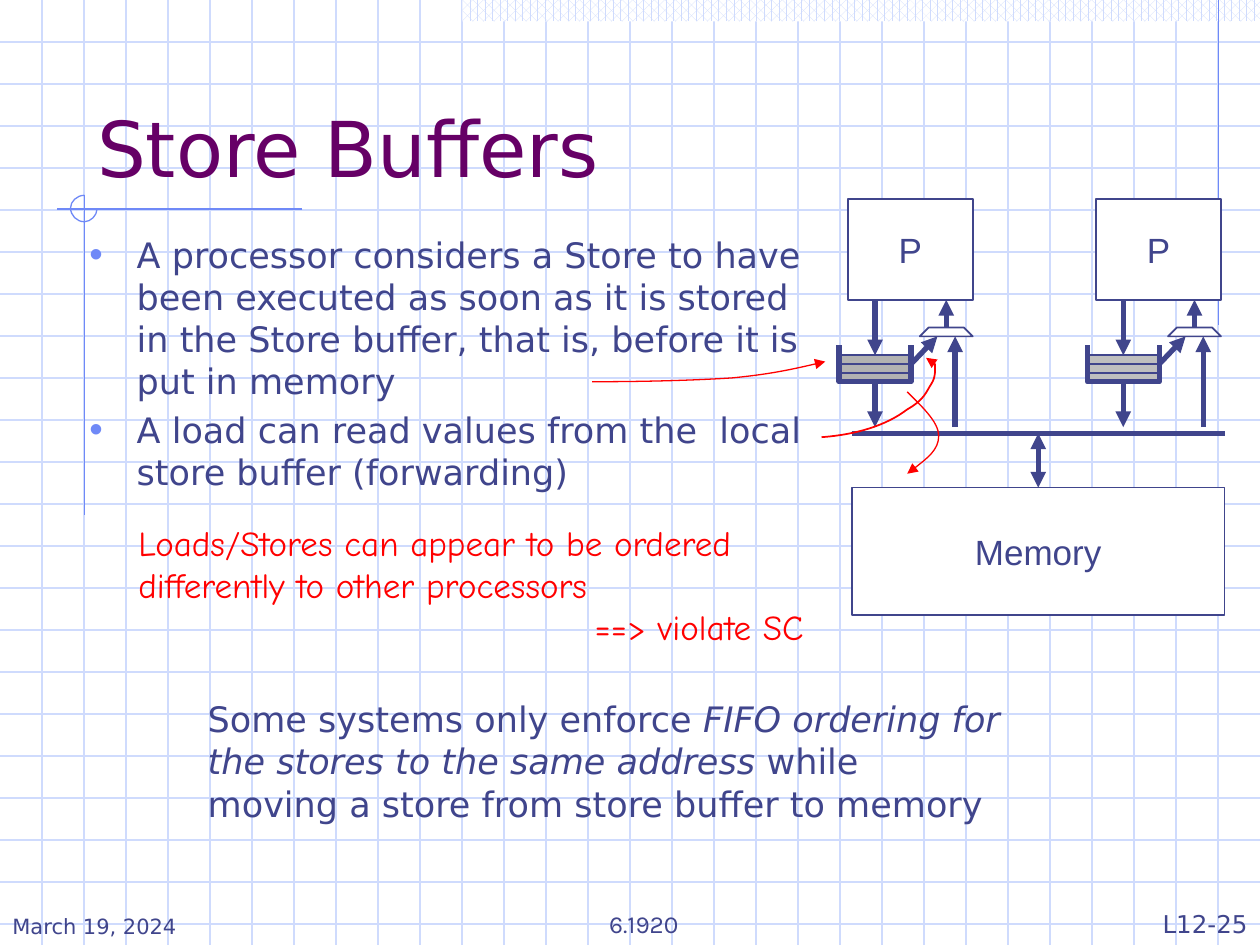
from lxml.etree import SubElement
from pptx import Presentation
from pptx.dml.color import RGBColor
from pptx.enum.dml import MSO_PATTERN
from pptx.enum.shapes import MSO_CONNECTOR, MSO_SHAPE
from pptx.enum.text import MSO_ANCHOR, MSO_AUTO_SIZE, PP_ALIGN
from pptx.oxml.ns import qn
from pptx.util import Inches, Pt

WHITE = RGBColor(0xFF, 0xFF, 0xFF)
PURPLE = RGBColor(0x66, 0x00, 0x66)
NAVY = RGBColor(0x40, 0x45, 0x8C)
RED = RGBColor(0xFF, 0x00, 0x00)
BLUE = RGBColor(0x6F, 0x89, 0xF7)
PALE = RGBColor(0xCF, 0xDB, 0xFD)
GRAYS = [RGBColor(0xB2, 0xB2, 0xB2), RGBColor(0xBF, 0xBF, 0xBF)]

TITLE = "Store Buffers"
BULLETS = [
    "A processor considers a Store to have been executed as soon as it is stored "
    "in the Store buffer, that is, before it is put in memory",
    "A load can read values from the  local store buffer (forwarding)",
]
WARNING = ["Loads/Stores can appear to be ordered differently to other processors", "==> violate SC"]
REMARK = [
    [("Some systems only enforce ", False),
     ("FIFO ordering for the stores to the same address", True), (" while", False)],
    [("moving a store from store buffer to memory", False)],
]
FOOTERS = [
    ("March 19, 2024", (0, 7, 2.08, 0.5), PP_ALIGN.LEFT, "DejaVu Sans", 12),
    ("6.1920", (3.39, 7, 3.44, 0.5), PP_ALIGN.CENTER, "Karla", 14),
    ("L12-25", (7.92, 7, 2.08, 0.5), PP_ALIGN.RIGHT, "DejaVu Sans", 14),
]
WIDTH, HEIGHT, CELLS_PER_INCH = 10, 7.5, 3
RULES = [((9.67, 0), (9.67, 2.58)), ((2.4, 1.66), (0.45, 1.66)), ((0.67, 1.55), (0.67, 4.09))]
CROSS_ARC = [(0.67, 1.55), (0.61, 1.55), (0.56, 1.6), (0.56, 1.65), (0.56, 1.71), (0.61, 1.76),
             (0.67, 1.76), (0.72, 1.76), (0.77, 1.71), (0.77, 1.66)]
POINTERS = [
    ([(6.52, 3.47), (6.79, 3.45), (7.03, 3.38), (7.2, 3.25), (7.34, 3.17), (7.35, 3.11),
      (7.39, 3.05), (7.43, 2.99), (7.42, 2.93), (7.42, 2.89), (7.4, 2.87), (7.37, 2.85),
      (7.35, 2.84)], 1, "tailEnd"),
    ([(6.55, 2.87), (6.34, 2.92), (6.12, 2.97), (5.81, 3), (5.5, 3.02), (5.1, 3.03),
      (4.7, 3.03)], 0.75, "headEnd"),
    ([(7.2, 3.11), (7.32, 3.23), (7.45, 3.35), (7.45, 3.46), (7.45, 3.57), (7.32, 3.67),
      (7.2, 3.76)], 0.75, "tailEnd"),
]
CORE_LEFT, CORE_STEP = 6.66, 1.97
SLOT_TOP, SLOT_STEP, SLOT_WIDTH = 2.82, 0.07, 0.57
BUS_Y = 3.44

deck = Presentation()
deck.slide_width, deck.slide_height = Inches(WIDTH), Inches(HEIGHT)
page = deck.slides.add_slide(deck.slide_layouts[1])


def place(shape, area):
    for name, value in zip(("left", "top", "width", "height"), area):
        setattr(shape, name, Inches(value))


def outline(shape, color, width, ends=()):
    shape.line.color.rgb = color
    shape.line.width = Pt(width)
    for end in ends:
        SubElement(shape.line._get_or_add_ln(), qn(f"a:{end}"), type="triangle")


def write(frame, paragraphs, align=PP_ALIGN.LEFT, **font):
    for index, spans in enumerate(paragraphs):
        para = frame.paragraphs[0] if index == 0 else frame.add_paragraph()
        para.alignment = align
        for text, italic in [(spans, False)] if isinstance(spans, str) else spans:
            span = para.add_run()
            span.text = text
            span.font.color.rgb = font["color"]
            for name, value in {"name": font["name"], "size": Pt(font["size"]),
                                "italic": italic}.items():
                setattr(span.font, name, value)


def add_text(area, paragraphs, anchor=MSO_ANCHOR.TOP, **format_values):
    box = page.shapes.add_textbox(*map(Inches, area))
    box.text_frame.word_wrap = True
    box.text_frame.vertical_anchor = anchor
    write(box.text_frame, paragraphs, **format_values)
    return box


def add_box(area, fill, label=None):
    box = page.shapes.add_shape(MSO_SHAPE.RECTANGLE, *map(Inches, area))
    box.shadow.inherit = False
    box.fill.solid()
    box.fill.fore_color.rgb = fill
    outline(box, NAVY, 1)
    if label:
        box.text_frame.word_wrap = False
        box.text_frame.vertical_anchor = MSO_ANCHOR.MIDDLE
        write(box.text_frame, [label], PP_ALIGN.CENTER, name="Arial", size=20, color=NAVY)
    return box


def add_line(start, end, color=NAVY, width=3, ends=("tailEnd",)):
    line = page.shapes.add_connector(MSO_CONNECTOR.STRAIGHT, *map(Inches, start + end))
    outline(line, color, width, ends)
    SubElement(line._element.spPr, qn("a:effectLst"))
    return line


def add_path(points, color, width, close=False, fill=None, ends=()):
    corners = [(Inches(x), Inches(y)) for x, y in points]
    builder = page.shapes.build_freeform(*corners[0], scale=1.0)
    builder.add_line_segments(corners[1:], close=close)
    path = builder.convert_to_shape()
    path.shadow.inherit = False
    if fill is None:
        path.fill.background()
    else:
        path.fill.solid()
        path.fill.fore_color.rgb = fill
    outline(path, color, width, ends)
    return path


def add_curve(knots, color, width, ends=()):
    curve = add_path(knots, color, width, ends=ends)
    route = next(curve._element.iter(qn("a:path")))
    segments = route.findall(qn("a:lnTo"))
    for first in range(0, len(segments), 3):
        bend = SubElement(route, qn("a:cubicBezTo"))
        for segment in segments[first:first + 3]:
            bend.append(segment[0])
            route.remove(segment)


def add_core(left, gray):
    processor_bottom, mux_top, mux_bottom = 2.38, 2.6, 2.67
    add_box((left + 0.07, 1.58, 0.99, 0.8), WHITE, "P")
    slots = [add_box((left, SLOT_TOP + row * SLOT_STEP, SLOT_WIDTH, SLOT_STEP), gray)
             for row in range(3)]
    right, bottom = left + SLOT_WIDTH, SLOT_TOP + 3 * SLOT_STEP
    add_path([(left, 2.74), (left, bottom), (right, bottom), (right, 2.74)], NAVY, 3)
    middle = left + SLOT_WIDTH / 2
    add_line((middle, processor_bottom), (middle, SLOT_TOP)).end_connect(slots[0], 0)
    add_line((middle, bottom), (middle, BUS_Y - 0.05)).begin_connect(slots[2], 2)
    add_line((left + 0.92, BUS_Y - 0.05), (left + 0.92, mux_bottom))
    add_line((right, 2.89), (left + 0.78, mux_bottom))
    add_path([(left + 0.64, mux_bottom), (left + 1.06, mux_bottom), (left + 0.99, mux_top),
              (left + 0.71, mux_top)], NAVY, 1, close=True, fill=WHITE)
    add_line((left + 0.85, mux_top), (left + 0.85, processor_bottom))


for row in range(1, int(HEIGHT * CELLS_PER_INCH) + 1):
    add_line((0, row / CELLS_PER_INCH), (WIDTH, row / CELLS_PER_INCH), PALE, 0.75, ())
for column in range(1, WIDTH * CELLS_PER_INCH):
    add_line((column / CELLS_PER_INCH, 0), (column / CELLS_PER_INCH, HEIGHT), PALE, 0.75, ())
band = add_box((3.67, 0, 6.33, 0.17), WHITE)
band.fill.patterned()
band.fill.pattern = MSO_PATTERN.PERCENT_60
band.fill.fore_color.rgb, band.fill.back_color.rgb = PALE, WHITE
band.line.fill.background()
for start, end in RULES:
    add_line(start, end, BLUE, 0.75, ())
add_curve(CROSS_ARC, BLUE, 0.75)

title, body = page.shapes.title, page.placeholders[1]
place(title, (0.67, 0.33, 9.03, 1.25))
place(body, (0.61, 1.8, 5.93, 3.9))
for holder, anchor in ((title, MSO_ANCHOR.BOTTOM), (body, MSO_ANCHOR.TOP)):
    holder.text_frame.auto_size = MSO_AUTO_SIZE.NONE
    holder.text_frame.vertical_anchor = anchor
    page.shapes._spTree.append(holder._element)
write(title.text_frame, [TITLE], name="DejaVu Sans", size=44, color=PURPLE)
write(body.text_frame, BULLETS, name="DejaVu Sans", size=20, color=NAVY)
for para in body.text_frame.paragraphs:
    para.space_before = Pt(4)
    properties = para._p.get_or_add_pPr()
    properties.set("marL", str(Pt(27)))
    properties.set("indent", str(-Pt(27)))
    SubElement(SubElement(properties, qn("a:buClr")), qn("a:srgbClr"), val=str(BLUE))
    SubElement(properties, qn("a:buSzPct"), val="110000")
    SubElement(properties, qn("a:buChar"), char="•")

memory = add_box((6.76, 3.87, 2.96, 1.01), WHITE, "Memory")
add_line((6.76, BUS_Y), (9.72, BUS_Y), ends=())
add_line((8.24, BUS_Y), (8.24, 3.87), ends=("headEnd", "tailEnd")).end_connect(memory, 0)
for column, gray in enumerate(GRAYS):
    add_core(CORE_LEFT + column * CORE_STEP, gray)
for knots, width, end in POINTERS:
    add_curve(knots, RED, width, (end,))

warning = add_text((1, 4.09, 5.58, 1.11), WARNING, name="Comic Neue", size=20, color=RED)
warning.text_frame.margin_right = Inches(0.2)
warning.text_frame.paragraphs[1].alignment = PP_ALIGN.RIGHT
add_text((1.55, 5.49, 6.98, 1.11), REMARK, name="DejaVu Sans", size=20, color=NAVY)
for text, area, align, name, size in FOOTERS:
    add_text(area, [text], MSO_ANCHOR.BOTTOM, align=align, name=name, size=size, color=NAVY)

deck.save("out.pptx")
